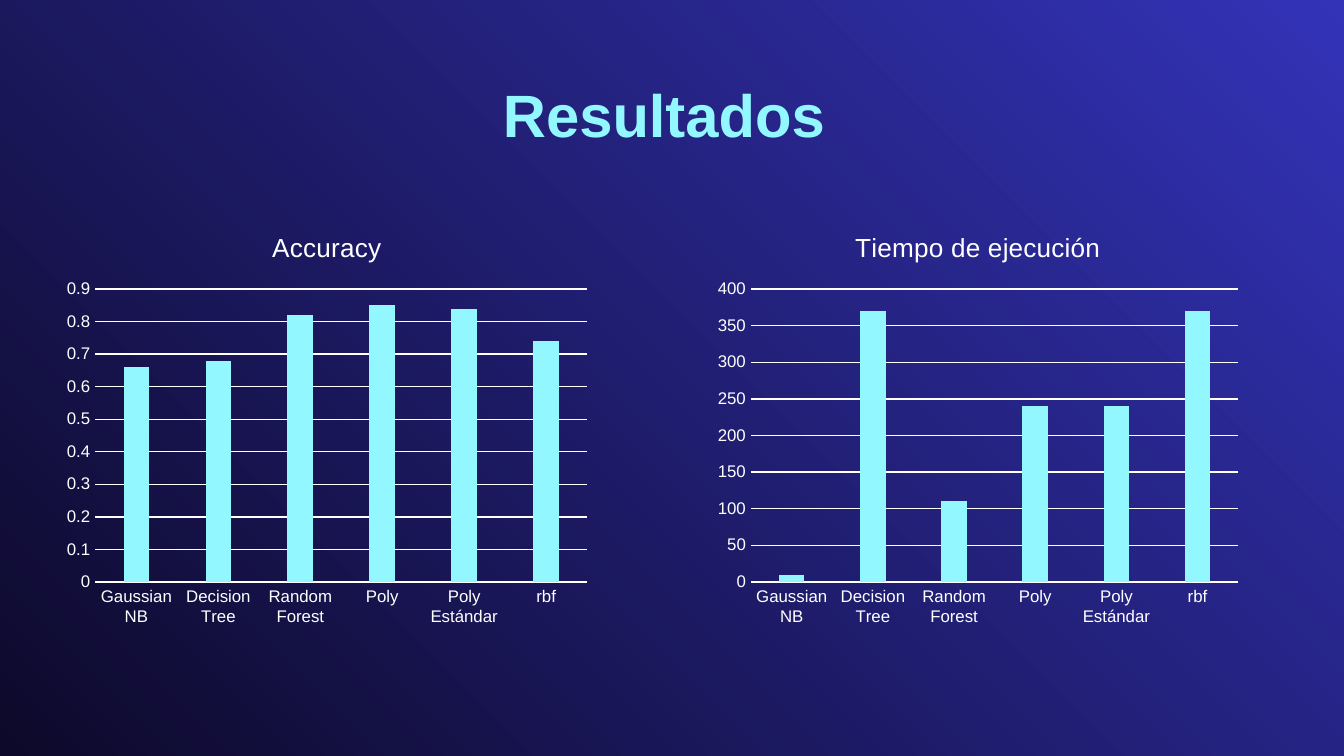
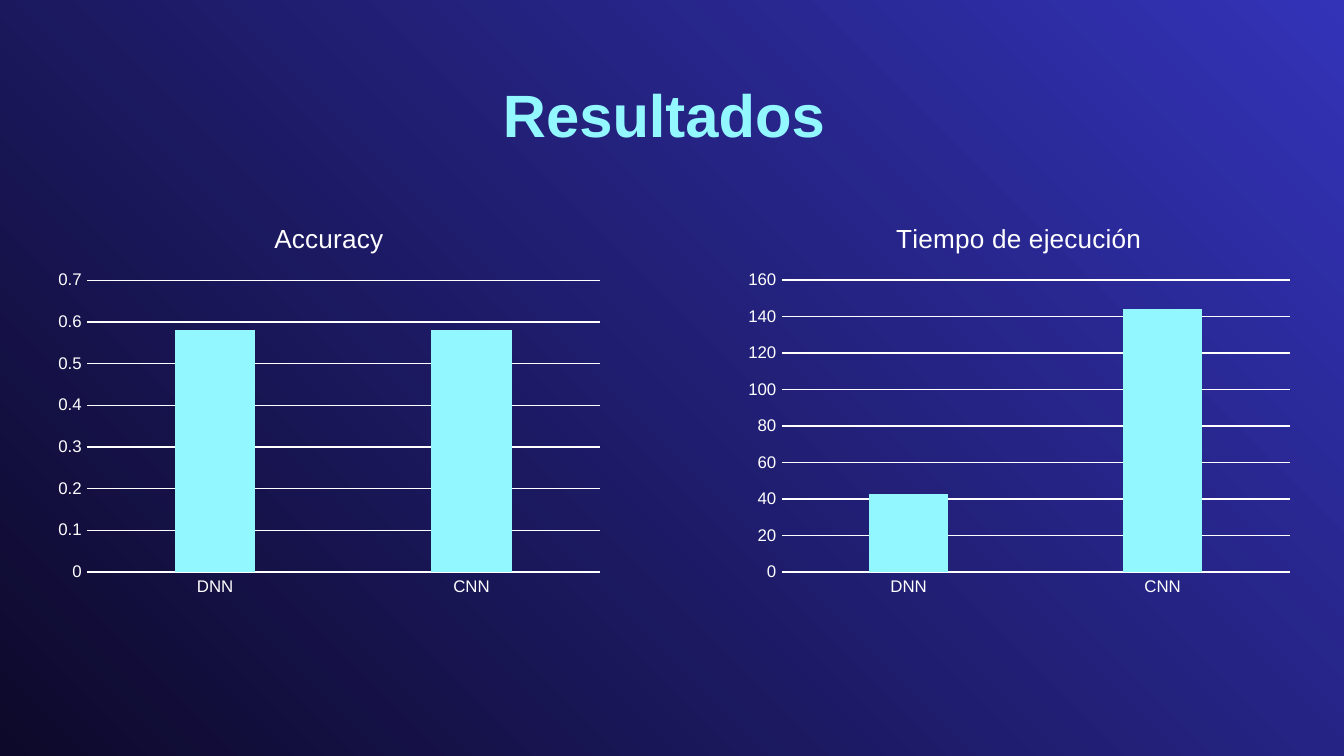
from pptx import Presentation
from pptx import util as u
from pptx.chart.data import CategoryChartData
from pptx.dml.color import RGBColor
from pptx.enum import chart as ch, text

FONT = "Arial"
WHITE, CYAN, NAVY, BLUE = "FFFFFF", "92F7FF", "0D092A", "3333B8"
MODELS = ["GaussianNB", "Decision Tree", "Random Forest",
          "Poly", "Poly Estándar", "rbf"]
NETS = ["DNN", "CNN"]


def px(n):
    """Turn pixels (134.4 to the inch) into EMU."""
    return u.Emu(round(n * 914400 / 134.4))


def rgb(code):
    return RGBColor.from_string(code)


def style(font, size, color=WHITE, bold=False):
    font.name, font.size, font.bold = FONT, u.Pt(size), bold
    font.color.rgb = rgb(color)


def rule(line):
    line.color.rgb = rgb(WHITE)
    line.width = u.Pt(0.75)


def shade(master):
    """Give every slide the diagonal gradient."""
    fill = master.background.fill
    fill.gradient()
    fill.gradient_angle = 45
    for stop, color, at in zip(fill.gradient_stops, (NAVY, BLUE), (0, 1)):
        stop.color.rgb = rgb(color)
        stop.position = at


def place(shape, box):
    shape.left, shape.top, shape.width, shape.height = map(px, box)


def head(slide, words):
    title = slide.shapes.title
    place(title, (106, 79, 1133, 70))
    frame = title.text_frame
    frame.text = words
    frame.auto_size = text.MSO_AUTO_SIZE.NONE
    frame.vertical_anchor = text.MSO_ANCHOR.MIDDLE
    frame.margin_left = frame.margin_right = u.Inches(0.1)
    frame.margin_top = frame.margin_bottom = u.Inches(0.1)
    para = frame.paragraphs[0]
    para.alignment = text.PP_ALIGN.CENTER
    style(para.font, 32, CYAN, True)


def bars(slide, box, name, cats, vals):
    data = CategoryChartData()
    data.categories = cats
    data.add_series(name, vals)
    chart = slide.shapes.add_chart(
        ch.XL_CHART_TYPE.COLUMN_CLUSTERED, *map(px, box), data).chart
    style(chart.font, 10)
    chart.has_legend = False

    chart.has_title = True
    title = chart.chart_title
    title.include_in_layout = False
    title.text_frame.text = name
    style(title.text_frame.paragraphs[0].font, 14)

    for axis in (chart.category_axis, chart.value_axis):
        axis.major_tick_mark = axis.minor_tick_mark = ch.XL_TICK_MARK.NONE
        style(axis.tick_labels.font, 9)
    rule(chart.category_axis.format.line)
    chart.value_axis.format.line.fill.background()
    rule(chart.value_axis.major_gridlines.format.line)

    plot = chart.plots[0]
    plot.gap_width, plot.overlap = 219, -27
    plot.vary_by_categories = False
    fill = plot.series[0].format.fill
    fill.solid()
    fill.fore_color.rgb = rgb(CYAN)


def results(deck, box, step, cats, scores, times):
    """Add a slide with two charts, the second one step to the right."""
    slide = deck.slides.add_slide(deck.slide_layouts[5])
    head(slide, "Resultados ")
    x, y, w, h = box
    bars(slide, (x, y, w, h), "Accuracy", cats, scores)
    bars(slide, (x + step, y, w, h), "Tiempo de ejecución", cats, times)


def main():
    deck = Presentation()
    deck.slide_width, deck.slide_height = px(1344), px(756)
    shade(deck.slide_master)
    results(deck, (56, 210, 542, 425), 651, MODELS,
            [0.66, 0.68, 0.82, 0.85, 0.84, 0.74],
            [10, 370, 110, 240, 240, 370])
    results(deck, (47, 202, 564, 403), 690, NETS, [0.58, 0.58], [43, 144])
    deck.save("out.pptx")


if __name__ == "__main__":
    main()
